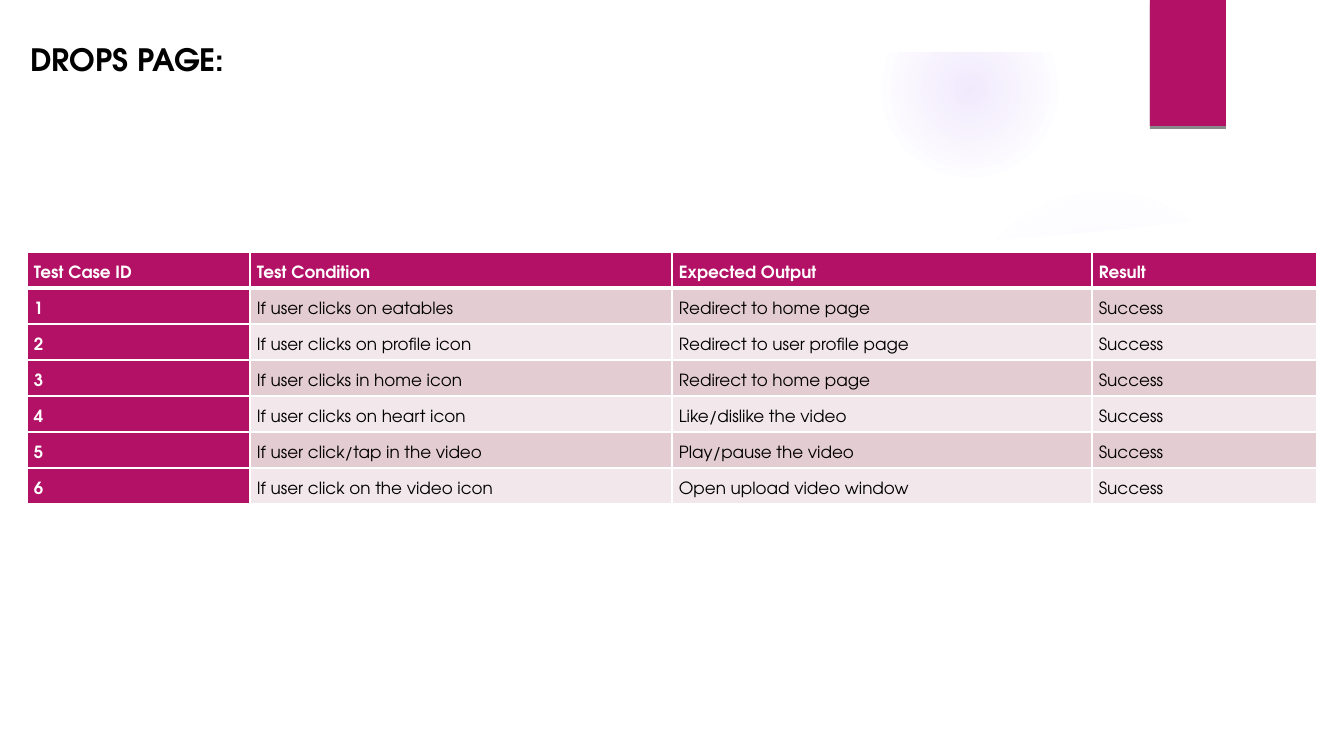
from dataclasses import dataclass

from pptx import Presentation
from pptx.dml.color import RGBColor
from pptx.enum.shapes import MSO_SHAPE
from pptx.enum.text import MSO_ANCHOR, PP_ALIGN
from pptx.oxml import parse_xml
from pptx.oxml.ns import nsdecls, qn
from pptx.shapes.autoshape import Shape
from pptx.slide import Slide
from pptx.table import _Cell
from pptx.text.text import _Paragraph
from pptx.util import Pt

OVAL = MSO_SHAPE.OVAL
RECT = MSO_SHAPE.RECTANGLE
FRAME = MSO_SHAPE.FRAME
MIDDLE = MSO_ANCHOR.MIDDLE
LEFT = PP_ALIGN.LEFT
JUSTIFY = PP_ALIGN.JUSTIFY

WIDTH, HEIGHT = 1344, 756
SCALE = 12192000 / WIDTH
FONT = "TeX Gyre Adventor"

WHITE = RGBColor(0xFF, 0xFF, 0xFF)
BLACK = RGBColor(0x00, 0x00, 0x00)
PINK = RGBColor(0xB3, 0x11, 0x66)
ROSE = RGBColor(0xE4, 0xCC, 0xD3)
BLUSH = RGBColor(0xF2, 0xE7, 0xEA)
VIOLET = RGBColor(0x9B, 0x6B, 0xF2)

THIN, THICK = 0.96, 3
MARGIN = 52
ROW = 36
COLS = (223, 422, 420, 225)
HEADS = ("Test Case ID", "Test Condition", "Expected Output", "Result")


@dataclass(frozen=True)
class Box:
    left: int
    top: int
    width: int
    height: int

    def emu(self) -> list[int]:
        return [px(n) for n in (self.left, self.top, self.width, self.height)]


@dataclass(frozen=True)
class Glow:
    box: Box
    alpha: int
    reach: int


@dataclass(frozen=True)
class Case:
    action: str
    output: str
    result: str = "Success"


GLOWS = (
    Glow(Box(949, 184, 310, 310), 7, 69),
    Glow(Box(882, 1, 176, 176), 14, 73),
)
SWOOSH = (
    (941, 252), (1111, 240), (1299, 216), (1293, 167), (1235, 186),
    (1164, 205), (1095, 220), (1028, 232), (937, 245),
)
PANEL = (
    (50, 206), (114, 214), (218, 226), (404, 240), (588, 248), (714, 250),
    (847, 248), (957, 243), (1040, 237), (1124, 229), (1210, 219),
    (1294, 206), (1294, 706), (50, 706),
)
CASES = (
    Case("If user clicks on eatables", "Redirect to home page"),
    Case("If user clicks on profile icon", "Redirect to user profile page"),
    Case("If user clicks in home icon", "Redirect to home page"),
    Case("If user clicks on heart icon", "Like/dislike the video"),
    Case("If user click/tap in the video", "Play/pause the video"),
    Case("If user click on the video icon", "Open upload video window"),
)


def px(count: int) -> int:
    return round(count * SCALE)


def paint(shape: Shape, color: RGBColor) -> None:
    shape.shadow.inherit = False
    shape.fill.solid()
    shape.fill.fore_color.rgb = color
    shape.line.fill.background()


def add_block(slide: Slide, kind: MSO_SHAPE, box: Box, color: RGBColor) -> Shape:
    shape = slide.shapes.add_shape(kind, *box.emu())
    paint(shape, color)
    return shape


def add_glow(slide: Slide, glow: Glow) -> None:
    shape = add_block(slide, OVAL, glow.box, VIOLET)
    stops = "".join(
        f'<a:gs pos="{pos * 1000}"><a:srgbClr val="{VIOLET}">'
        f'<a:alpha val="{alpha * 1000}"/></a:srgbClr></a:gs>'
        for pos, alpha in ((0, glow.alpha), (glow.reach, 0))
    )
    fade = parse_xml(
        f'<a:gradFill {nsdecls("a")} rotWithShape="1"><a:gsLst>{stops}</a:gsLst>'
        '<a:path path="circle">'
        '<a:fillToRect l="50000" t="50000" r="50000" b="50000"/>'
        "</a:path></a:gradFill>"
    )
    props = shape.element.spPr
    props.replace(props.find(qn("a:solidFill")), fade)


def add_form(slide: Slide, points: tuple, alpha: int = 100) -> None:
    pen = slide.shapes.build_freeform(*points[0], scale=SCALE)
    pen.add_line_segments(points[1:], close=True)
    shape = pen.convert_to_shape()
    paint(shape, WHITE)
    color = shape.element.spPr.find(qn("a:solidFill"))[0]
    color.append(parse_xml(f'<a:alpha {nsdecls("a")} val="{alpha * 1000}"/>'))


def add_ribbon(slide: Slide) -> None:
    shape = add_block(slide, RECT, Box(1150, 0, 76, 126), PINK)
    shape.element.spPr.find(qn("a:effectLst")).append(parse_xml(
        f'<a:outerShdw {nsdecls("a")} blurRad="0" dist="{Pt(2)}" dir="5400000" '
        'rotWithShape="0"><a:srgbClr val="000000"><a:alpha val="45000"/>'
        "</a:srgbClr></a:outerShdw>"
    ))


def add_text(para: _Paragraph, text: str, size: int, color: RGBColor, bold: bool) -> None:
    run = para.add_run()
    run.text = text
    run.font.name = FONT
    run.font.size = Pt(size)
    run.font.bold = bold
    run.font.color.rgb = color


def fill_cell(cell: _Cell, text: str, row: int, col: int) -> None:
    strong = row == 0 or col == 0
    cell.fill.solid()
    cell.fill.fore_color.rgb = PINK if strong else (BLUSH, ROSE)[row % 2]
    cell.vertical_anchor = MIDDLE
    cell.margin_left = cell.margin_right = px(7)
    cell.margin_top = cell.margin_bottom = px(5)
    para = cell.text_frame.paragraphs[0]
    para.alignment = JUSTIFY
    para.line_spacing = 1.5
    add_text(para, text, 12, WHITE if strong else BLACK, strong)
    edges = {
        "L": THIN,
        "R": THIN,
        "T": THICK if row == 1 else THIN,
        "B": THICK if row == 0 else THIN,
    }
    props = cell._tc.get_or_add_tcPr()
    for spot, (side, width) in enumerate(edges.items()):
        props.insert(spot, parse_xml(
            f'<a:ln{side} {nsdecls("a")} w="{Pt(width)}"><a:solidFill>'
            f'<a:srgbClr val="{WHITE}"/></a:solidFill></a:ln{side}>'
        ))


def add_cases(slide: Slide) -> None:
    rows = [HEADS]
    for number, case in enumerate(CASES, 1):
        rows.append((str(number), case.action, case.output, case.result))
    box = Box(27, 252, sum(COLS), ROW * len(rows))
    table = slide.shapes.add_table(len(rows), len(COLS), *box.emu()).table
    for col, width in enumerate(COLS):
        table.columns[col].width = px(width)
    for row, texts in enumerate(rows):
        table.rows[row].height = px(ROW)
        for col, text in enumerate(texts):
            fill_cell(table.cell(row, col), text, row, col)


def add_title(slide: Slide) -> None:
    title = slide.shapes.title
    title.left, title.top, title.width, title.height = Box(20, 20, 966, 78).emu()
    title.text_frame.vertical_anchor = MIDDLE
    para = title.text_frame.paragraphs[0]
    para.alignment = LEFT
    add_text(para, "DROPS PAGE:", 22, BLACK, True)
    title.element.getparent().append(title.element)


def main() -> None:
    deck = Presentation()
    deck.slide_width, deck.slide_height = px(WIDTH), px(HEIGHT)
    slide = deck.slides.add_slide(deck.slide_layouts[5])
    for glow in GLOWS:
        add_glow(slide, glow)
    add_form(slide, SWOOSH, 20)
    add_form(slide, PANEL)
    frame = add_block(slide, FRAME, Box(0, 0, WIDTH, HEIGHT), WHITE)
    frame.adjustments[0] = MARGIN / HEIGHT
    add_ribbon(slide)
    add_cases(slide)
    add_title(slide)
    deck.save("out.pptx")


if __name__ == "__main__":
    main()
